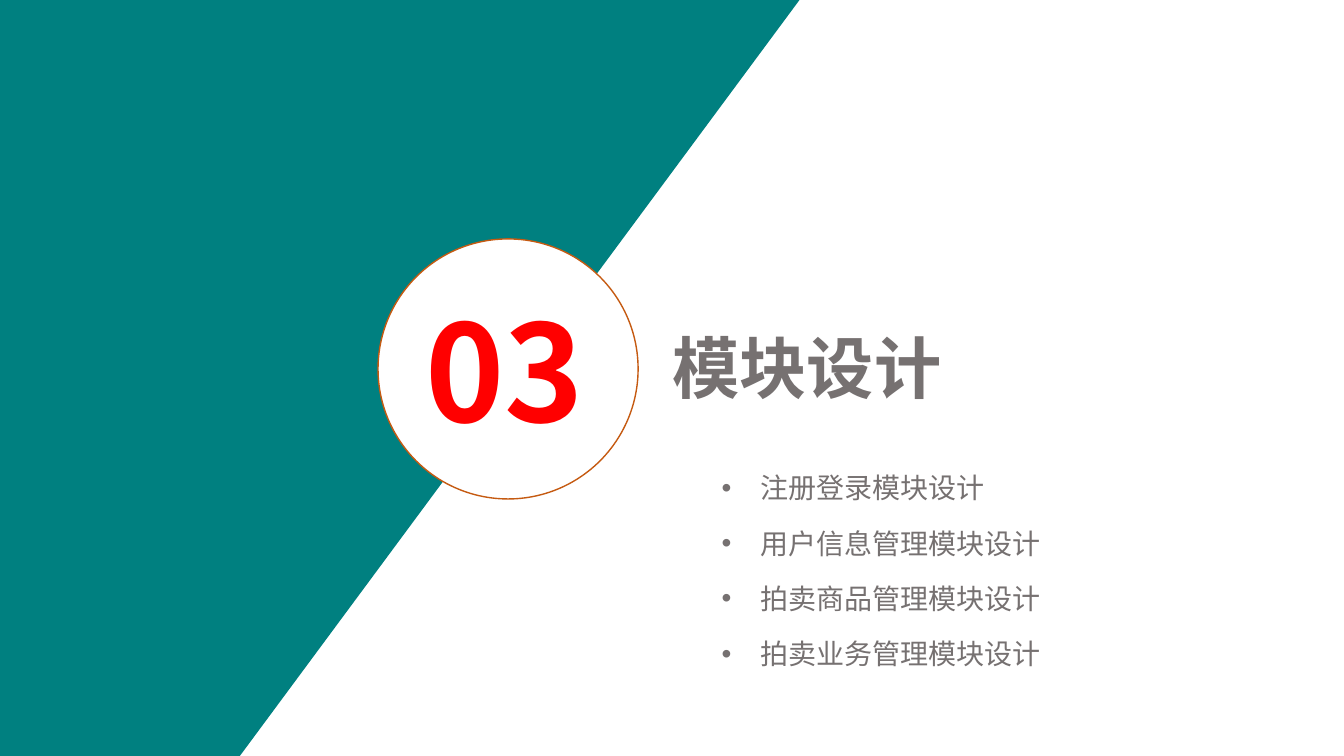
from lxml.etree import SubElement
from pptx import Presentation
from pptx.dml.color import RGBColor as Rgb
from pptx.enum.shapes import MSO_SHAPE as Shape
from pptx.enum.text import MSO_ANCHOR as Anchor, MSO_AUTO_SIZE as AutoSize, PP_ALIGN as Align
from pptx.oxml.ns import qn
from pptx.util import Inches, Pt

COLORS = {"teal": "008080", "white": "FFFFFF", "orange": "C55A11", "red": "FF0000", "gray": "767171"}
FONT = "Noto Sans CJK SC"
TOPICS = ["注册登录模块设计", "用户信息管理模块设计", "拍卖商品管理模块设计", "拍卖业务管理模块设计"]

deck = Presentation()
deck.slide_width, deck.slide_height = Inches(13.33), Inches(7.5)
col, row = deck.slide_width / 100, deck.slide_height / 100
slide = deck.slides.add_slide(deck.slide_layouts[5])
shapes = slide.shapes


def grid_box(left, top, width, height):
    return [int(left * col), int(top * row), int(width * col), int(height * row)]


def write(holder, text, color, size, bold=False, bullet=False):
    frame = holder.text_frame
    frame.text = text
    frame_format = {"word_wrap": True, "auto_size": AutoSize.NONE, "vertical_anchor": Anchor.TOP}
    for key, value in frame_format.items():
        setattr(frame, key, value)
    paragraph = frame.paragraphs[0]
    paragraph.alignment = Align.LEFT
    if bullet:
        props = paragraph._p.get_or_add_pPr()
        props.set("marL", str(Inches(0.38)))
        props.set("indent", str(-Inches(0.38)))
        SubElement(props, qn("a:buFont"), typeface="Arial")
        SubElement(props, qn("a:buChar"), char="•")
    run = paragraph.runs[0]
    for key, value in {"name": FONT, "size": Pt(size), "bold": bold}.items():
        setattr(run.font, key, value)
    run.font.color.rgb = Rgb.from_string(COLORS[color])
    SubElement(run._r.get_or_add_rPr(), qn("a:ea"), typeface=FONT)


outline = shapes.build_freeform(0, 0)
corners = [(59.49, 0), (17.85, 100), (0, 100)]
outline.add_line_segments([(int(x * col), int(y * row)) for x, y in corners])
panel = outline.convert_to_shape()
panel.line.fill.background()

badge = shapes.add_shape(Shape.OVAL, *grid_box(28.13, 31.6, 19.35, 34.4))
badge.line.color.rgb = Rgb.from_string(COLORS["orange"])
badge.line.width = Pt(1)

for area, color in [(panel, "teal"), (badge, "white")]:
    area.shadow.inherit = False
    area.fill.solid()
    area.fill.fore_color.rgb = Rgb.from_string(COLORS[color])

chapter_number = shapes.add_textbox(*grid_box(30.91, 37.47, 14.25, 24.13))
write(chapter_number, "03", "red", 96, bold=True)

chapter_title = shapes.title
title_place = zip(("left", "top", "width", "height"), grid_box(49.29, 42.53, 42.16, 12.8))
for key, value in title_place:
    setattr(chapter_title, key, value)
write(chapter_title, "模块设计", "gray", 48, bold=True)

for index, topic in enumerate(TOPICS):
    topic_line = shapes.add_textbox(*grid_box(52.96, 61.6 + 7.33 * index, 30.46, 6.13))
    write(topic_line, topic, "gray", 20, bullet=True)

deck.save("out.pptx")
